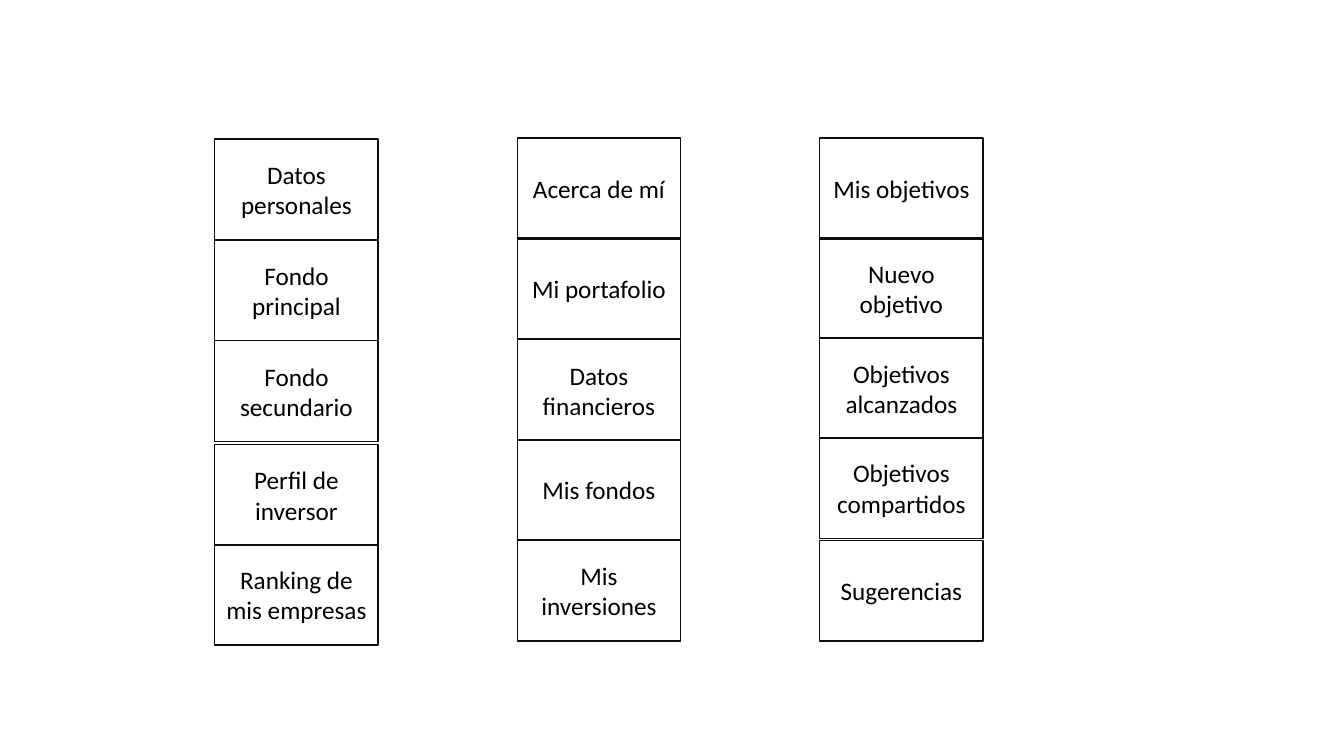
"""Build a slide with three columns of stacked menu boxes."""
from pptx import Presentation
from pptx import util as u
from pptx.dml import color
from pptx.enum import shapes, text

INK = color.RGBColor(0x0D, 0x0D, 0x0D)
BLACK = color.RGBColor(0, 0, 0)
FONT = "Calibri"
LEFT, STEP = 2.13, 3
WIDTH, HEIGHT = 1.62, 1

MENUS = [
    [(1.38, "Datos personales"), (2.38, "Fondo principal"),
     (3.38, "Fondo secundario"), (4.41, "Perfil de inversor"),
     (5.4, "Ranking de mis empresas")],
    [(1.37, "Acerca de mí"), (2.36, "Mi portafolio"),
     (3.37, "Datos financieros"), (4.36, "Mis fondos"),
     (5.36, "Mis inversiones")],
    [(1.37, "Mis objetivos"), (2.36, "Nuevo objetivo"),
     (3.35, "Objetivos alcanzados"), (4.34, "Objetivos compartidos"),
     (5.36, "Sugerencias")],
]


def add_box(slide, left, top, width, height, label):
    """Draw one outlined box with a centred label."""
    box = slide.shapes.add_shape(
        shapes.MSO_SHAPE.RECTANGLE,
        *(u.Inches(size) for size in (left, top, width, height)))
    box.shadow.inherit = False
    box.fill.background()
    box.line.color.rgb = INK
    box.line.width = u.Pt(1)
    frame = box.text_frame
    frame.word_wrap = True
    frame.vertical_anchor = text.MSO_ANCHOR.MIDDLE
    frame.text = label
    para = frame.paragraphs[0]
    para.alignment = text.PP_ALIGN.CENTER
    para.font.name = FONT
    para.font.size = u.Pt(18)
    para.font.color.rgb = BLACK


def add_menu(slide, left, width, items):
    """Stack the boxes of one menu in a column."""
    for top, label in items:
        add_box(slide, left, top, width, HEIGHT, label)


deck = Presentation()
deck.slide_width = u.Inches(13.33)
deck.slide_height = u.Inches(7.5)
slide = deck.slides.add_slide(deck.slide_layouts[6])
for col, items in enumerate(MENUS):
    add_menu(slide, LEFT + col * STEP, WIDTH, items)
deck.save("out.pptx")
